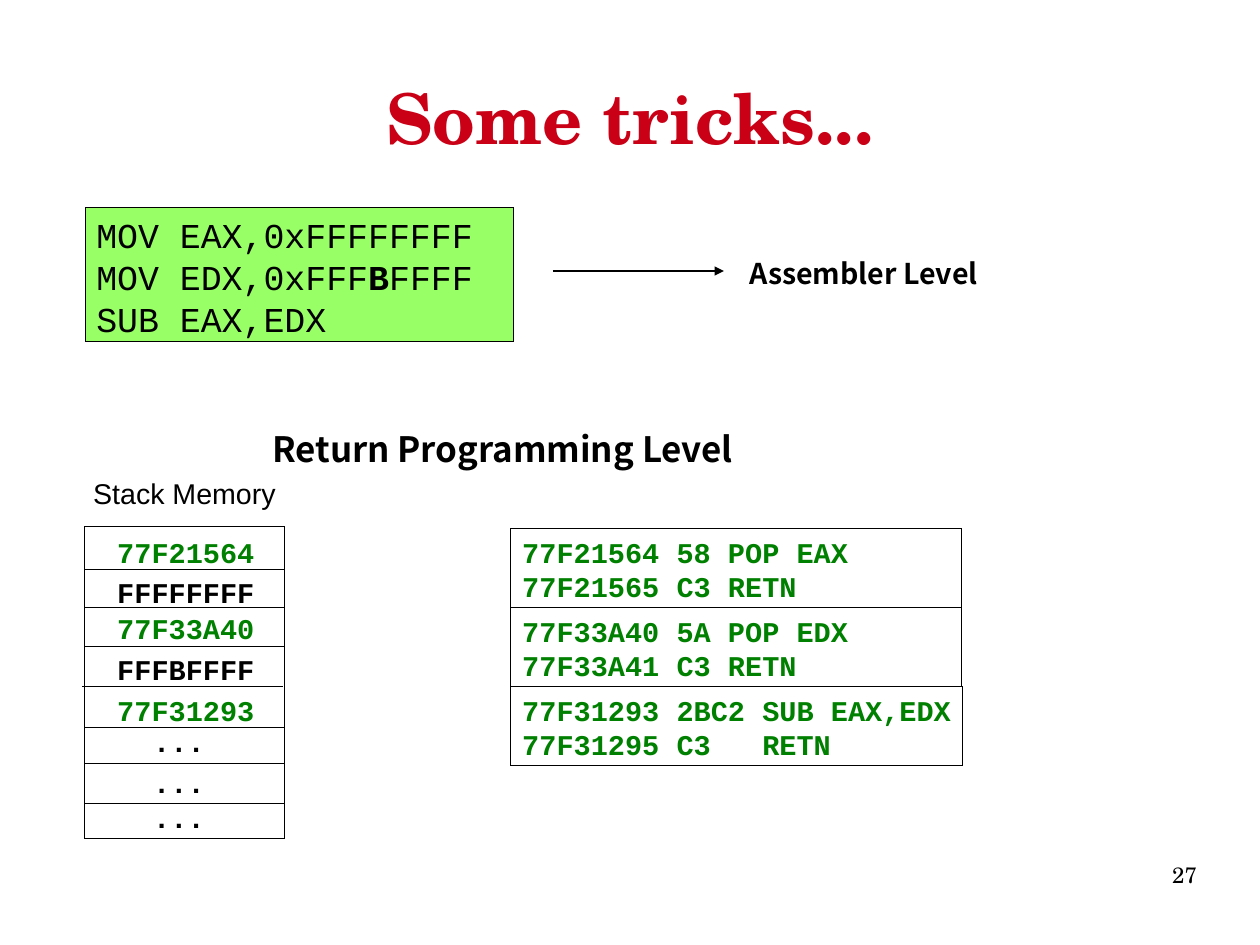
from lxml import etree
from pptx import Presentation
from pptx.dml.color import RGBColor
from pptx.enum.shapes import MSO_CONNECTOR, MSO_SHAPE
from pptx.enum.text import MSO_ANCHOR, MSO_AUTO_SIZE, PP_ALIGN
from pptx.oxml.ns import qn
from pptx.util import Pt

PX = 8000  # EMU per px
HAIRLINE = 1  # EMU; a width of 0 would fall back to the theme's line
RECT = MSO_SHAPE.RECTANGLE
STRAIGHT = MSO_CONNECTOR.STRAIGHT
TOP, MIDDLE = MSO_ANCHOR.TOP, MSO_ANCHOR.MIDDLE
LEFT, CENTER, RIGHT = PP_ALIGN.LEFT, PP_ALIGN.CENTER, PP_ALIGN.RIGHT
FIT_SHAPE, FIXED = MSO_AUTO_SIZE.SHAPE_TO_FIT_TEXT, MSO_AUTO_SIZE.NONE

COLORS = {"title": "C90016", "ink": "000000", "address": "008000",
          "code": "99FF66"}
SERIF, SANS, HEADING, MONO = ("TeX Gyre Schola", "Arial",
                              "Noto Sans CJK JP", "Courier New")

STACK_X, STACK_W = 85, 200
# Text, colour, left, top and width of each stack entry
STACK = [
    ("77F21564", "address", 106, 529, 160),
    ("FFFFFFFF", "ink", 106, 569, 160),
    ("77F33A40", "address", 106, 605, 160),
    ("FFFBFFFF", "ink", 106, 646, 160),
    ("77F31293", "address", 106, 687, 160),
    ("...", "ink", 142, 718, 74),
    ("...", "ink", 142, 759, 74),
    ("...", "ink", 142, 794, 74),
]
# Left end and height of each line between entries
DIVIDERS = [(85, 570), (85, 608), (85, 647), (83, 687),
            (85, 728), (85, 764), (85, 804)]
GADGET_X, GADGET_Y, GADGET_H = 511, 529, 79
# Width and lines of each gadget
GADGETS = [
    (451, ["77F21564 58 POP EAX", "77F21565 C3 RETN"]),
    (451, ["77F33A40 5A POP EDX", "77F33A41 C3 RETN"]),
    (452, ["77F31293 2BC2 SUB EAX,EDX", "77F31295 C3   RETN"]),
]


def rgb(name):
    return RGBColor.from_string(COLORS[name])


def write(s, lines, size, font, color="ink", bold=False):
    """Left-aligned text that does not wrap; *stars* mark bold letters."""
    tf = s.text_frame
    tf.word_wrap = False
    tf.auto_size = FIT_SHAPE
    tf.vertical_anchor = TOP
    for i, line in enumerate(lines):
        p = tf.paragraphs[0] if i == 0 else tf.add_paragraph()
        p.alignment = LEFT
        for j, part in enumerate(line.split("*")):
            r = p.add_run()
            r.text = part
            r.font.size, r.font.name = Pt(size), font
            r.font.bold = bold or j % 2 == 1
            r.font.color.rgb = rgb(color)


def add_label(slide, x, y, w, h, text, *style):
    s = slide.shapes.add_textbox(x * PX, y * PX, w * PX, h * PX)
    write(s, [text], *style)
    return s


def add_frame_label(slide, x, y, w, h, text, align, anchor, *style):
    """Text without margins that wraps in a fixed frame."""
    s = add_label(slide, x, y, w, h, text, *style)
    tf = s.text_frame
    tf.margin_left = tf.margin_right = tf.margin_top = tf.margin_bottom = 0
    tf.word_wrap = True
    tf.auto_size = FIXED
    tf.vertical_anchor = anchor
    tf.paragraphs[0].alignment = align


def add_box(slide, x, y, w, h, fill=None):
    s = slide.shapes.add_shape(RECT, x * PX, y * PX, w * PX, h * PX)
    s.shadow.inherit = False
    if fill:
        s.fill.solid()
        s.fill.fore_color.rgb = rgb(fill)
    else:
        s.fill.background()
    s.line.color.rgb = rgb("ink")
    s.line.width = HAIRLINE
    return s


def add_line(slide, x, y, w, width=HAIRLINE, arrow=False):
    s = slide.shapes.add_connector(STRAIGHT, x * PX, y * PX,
                                   (x + w) * PX, y * PX)
    s.line.color.rgb = rgb("ink")
    s.line.width = width
    if arrow:
        etree.SubElement(s.line._get_or_add_ln(), qn("a:tailEnd"),
                         type="triangle")
    etree.SubElement(s._element.spPr, qn("a:effectLst"))


def main():
    prs = Presentation()
    prs.slide_width, prs.slide_height = 1260 * PX, 945 * PX
    slide = prs.slides.add_slide(prs.slide_layouts[6])

    # Title
    add_frame_label(slide, 63, 38, 1134, 158, "Some tricks...",
                    CENTER, MIDDLE, 44, SERIF, "title", True)

    # Assembler code
    s = add_box(slide, 85, 208, 429, 134, "code")
    write(s, ["MOV EAX,0xFFFFFFFF", "MOV EDX,0xFFF*B*FFFF", "SUB EAX,EDX"],
          22, MONO)
    add_line(slide, 553, 271, 171, Pt(1.45), arrow=True)
    add_label(slide, 738, 250, 274, 50, "Assembler Level",
              18, HEADING, "ink", True)

    # Stack memory
    add_label(slide, 261, 422, 512, 59, "Return Programming Level",
              22, HEADING, "ink", True)
    add_label(slide, 82, 470, 206, 54, "Stack Memory", 18, SANS)
    add_box(slide, STACK_X, 527, STACK_W, 312)
    for x, y in DIVIDERS:
        add_line(slide, x, y, STACK_W)
    for text, color, x, y, w in STACK:
        add_label(slide, x, y, w, 46, text, 18, MONO, color, True)

    # Gadgets
    for i, (w, lines) in enumerate(GADGETS):
        s = add_box(slide, GADGET_X, GADGET_Y + i * GADGET_H, w, GADGET_H)
        write(s, lines, 18, MONO, "address", True)

    # Page number
    add_frame_label(slide, 903, 861, 294, 65, "27", RIGHT, TOP, 14, SERIF)

    prs.save("out.pptx")


if __name__ == "__main__":
    main()
